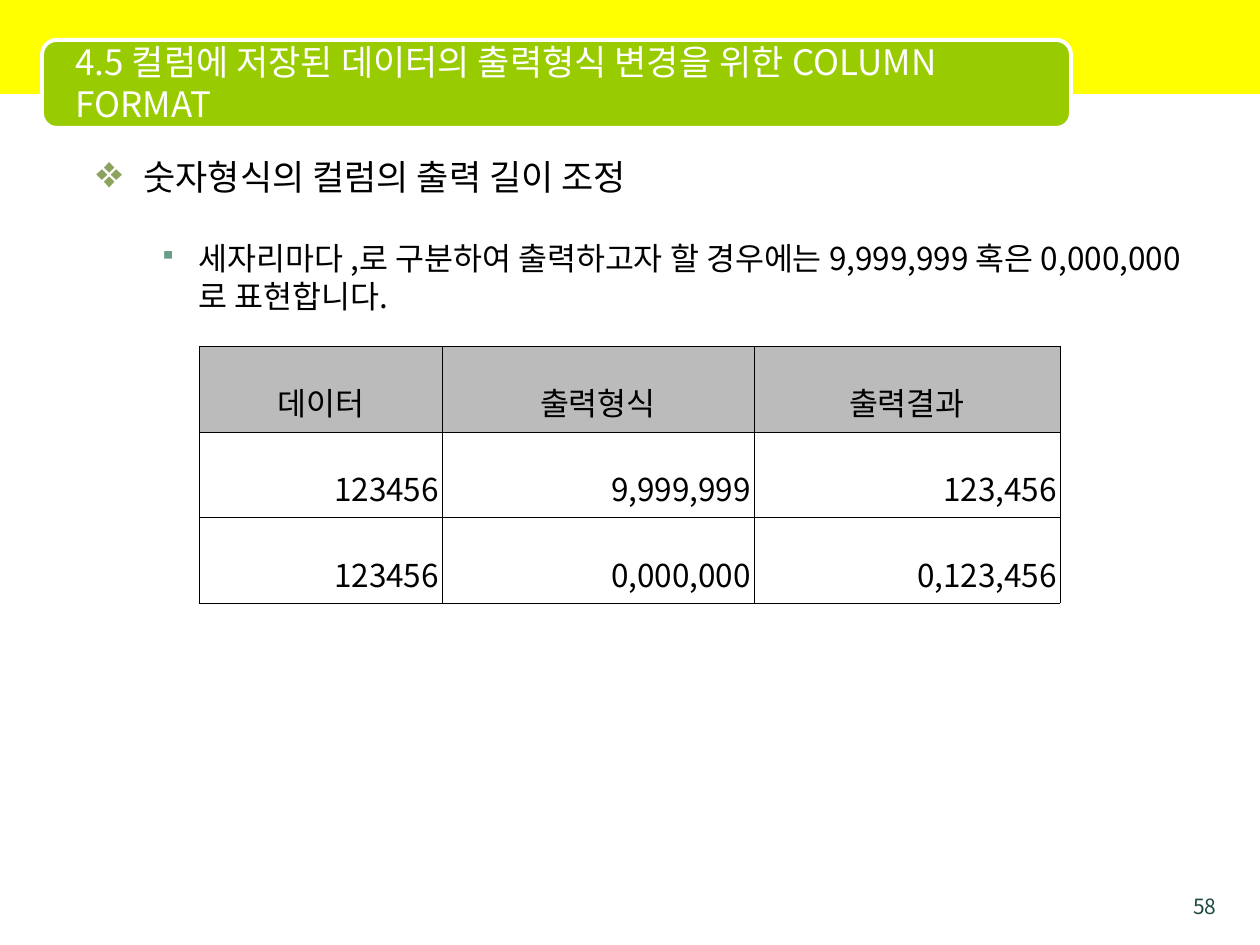
from lxml import etree
from pptx import Presentation
from pptx import util as u
from pptx.dml.color import RGBColor
from pptx.enum import shapes, text
from pptx.oxml import ns

SCALE = 914400 / 126
FONT = "Noto Sans CJK KR"
YELLOW = RGBColor(0xFF, 0xFF, 0x00)
GREEN = RGBColor(0x99, 0xCC, 0x00)
WHITE = RGBColor(0xFF, 0xFF, 0xFF)
BLACK = RGBColor(0x00, 0x00, 0x00)
GREY = RGBColor(0xBB, 0xBB, 0xBB)
TEAL = RGBColor(0x1D, 0x49, 0x40)
OLIVE = RGBColor(0x8C, 0xA3, 0x5F)
SAGE = RGBColor(0x66, 0x9E, 0x86)

POINTS = [
    ("숫자형식의 컬럼의 출력 길이 조정", 20, "❖", 130, OLIVE, 47, 47, 0),
    ("세자리마다 ,로 구분하여 출력하고자 할 경우에는 9,999,999 혹은 0,000,000로 표현합니다.",
     18, "▪", 75, SAGE, 102, 39, 24),
]
ROWS = [
    ("데이터", "출력형식", "출력결과"),
    ("123456", "9,999,999", "123,456"),
    ("123456", "0,000,000", "0,123,456"),
]


def px(length):
    """Turn px into EMU."""
    return u.Emu(round(length * SCALE))


def assign(target, values):
    """Set each named attribute on the target."""
    for name, value in values.items():
        setattr(target, name, value)


def add_element(parent, tag, **attributes):
    """Append a drawing element and return it."""
    return etree.SubElement(parent, ns.qn(tag), attributes)


def write(para, words, size, color, **layout):
    """Put one formatted run in a paragraph."""
    assign(para, layout)
    span = para.add_run()
    span.text = words
    assign(span.font, {"name": FONT, "size": u.Pt(size)})
    span.font.color.rgb = color
    add_element(span.font._element, "a:ea", typeface=FONT)


def add_text_box(page, box, anchor=text.MSO_ANCHOR.TOP):
    """Add a wrapping text box and return its frame."""
    frame = page.shapes.add_textbox(*map(px, box)).text_frame
    assign(frame, {"word_wrap": True, "vertical_anchor": anchor})
    return frame


def add_panel(page, kind, box, color):
    """Add a filled shape without outline or shadow."""
    panel = page.shapes.add_shape(kind, *map(px, box))
    panel.shadow.inherit = False
    panel.fill.solid()
    panel.fill.fore_color.rgb = color
    panel.line.fill.background()
    return panel


def add_header(page, box):
    """Draw the yellow band, the green plate and the title."""
    left, top, width, height = box
    add_panel(page, shapes.MSO_SHAPE.RECTANGLE, box, YELLOW)
    plate = add_panel(page, shapes.MSO_SHAPE.ROUNDED_RECTANGLE,
                      (left + 42, top + 40, 1029, 88), GREEN)
    plate.line.color.rgb = WHITE
    plate.line.width = u.Pt(2.25)
    frame = add_text_box(page, (left + 63, top + 44, 998, 78), text.MSO_ANCHOR.MIDDLE)
    write(frame.paragraphs[0], "4.5 컬럼에 저장된 데이터의 출력형식 변경을 위한 COLUMN FORMAT",
          20, WHITE)


def add_points(page, box):
    """Write the bulleted paragraphs."""
    frame = add_text_box(page, box)
    for index, (words, size, mark, percent, color, margin, hang, before) in enumerate(POINTS):
        para = frame.add_paragraph() if index else frame.paragraphs[0]
        layout = para._p.get_or_add_pPr()
        layout.set("marL", str(px(margin)))
        layout.set("indent", str(px(-hang)))
        add_element(add_element(layout, "a:buClr"), "a:srgbClr", val=str(color))
        add_element(layout, "a:buSzPct", val=str(percent * 1000))
        add_element(layout, "a:buChar", char=mark)
        write(para, words, size, BLACK, level=index, space_before=u.Pt(before))


def add_borders(cell):
    """Give a cell thin black borders on all sides."""
    properties = cell._tc.get_or_add_tcPr()
    for index, side in enumerate(("a:lnL", "a:lnR", "a:lnT", "a:lnB")):
        line = etree.Element(ns.qn(side), w=str(u.Pt(0.11)))
        add_element(add_element(line, "a:solidFill"), "a:srgbClr", val=str(BLACK))
        properties.insert(index, line)


def add_format_table(page, box, widths):
    """Build the table of number formats."""
    table = page.shapes.add_table(len(ROWS), len(widths), *map(px, box)).table
    for column, width in zip(table.columns, widths):
        column.width = px(width)
    for row_index, row in enumerate(ROWS):
        heading = row_index == 0
        align = text.PP_ALIGN.CENTER if heading else text.PP_ALIGN.RIGHT
        for column_index, words in enumerate(row):
            cell = table.cell(row_index, column_index)
            assign(cell, {"margin_left": px(3), "margin_right": px(3),
                          "margin_top": px(6), "margin_bottom": px(6),
                          "vertical_anchor": text.MSO_ANCHOR.TOP})
            cell.fill.solid()
            cell.fill.fore_color.rgb = GREY if heading else WHITE
            add_borders(cell)
            write(cell.text_frame.paragraphs[0], words, 18, BLACK,
                  alignment=align, line_spacing=1.6)


def add_page_number(page, box):
    """Write the slide number."""
    frame = add_text_box(page, box)
    write(frame.paragraphs[0], "58", 12, TEAL, alignment=text.PP_ALIGN.RIGHT)


def main():
    """Build and save the deck."""
    deck = Presentation()
    assign(deck, {"slide_width": px(1260), "slide_height": px(945)})
    page = deck.slides.add_slide(deck.slide_layouts[6])
    add_header(page, (0, 0, 1261, 94))
    add_page_number(page, (1166, 887, 63, 26))
    add_points(page, (84, 149, 1134, 774))
    add_format_table(page, (199, 346, 861, 257), (243, 312, 306))
    deck.save("out.pptx")


if __name__ == "__main__":
    main()
